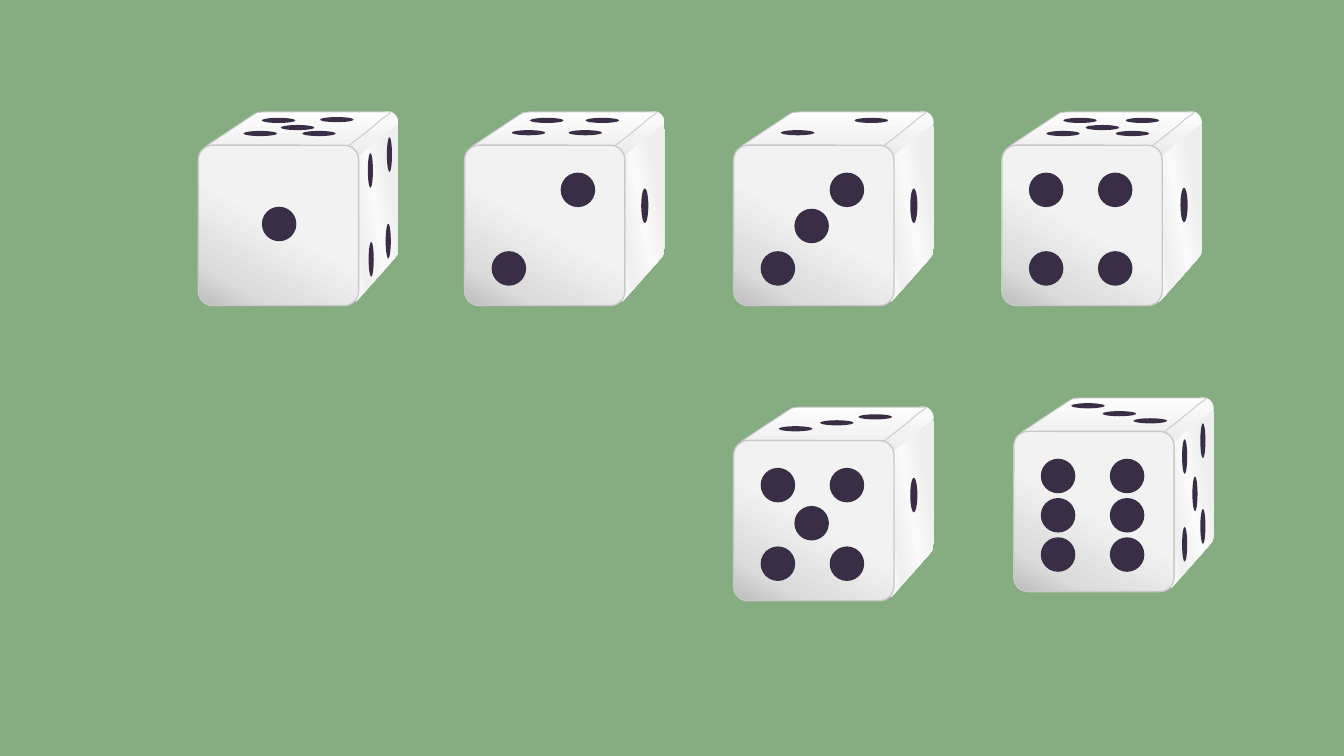
"""Build a slide with six dice, one for each face value."""
from lxml.etree import SubElement
from pptx import Presentation
from pptx.dml.color import RGBColor
from pptx.enum.shapes import MSO_SHAPE
from pptx.oxml.ns import qn
from pptx.util import Cm, Pt

PIP = "3A2E46"
CAP_STOPS = [(21, "FAFAFA"), (57, "F1F1F1"), (96, "E4E4E4")]
TOP_STOPS = [(0, "FFFFFF"), (21, "FAFAFA"), (100, "F1F1F1")]
SIDE_STOPS = [(0, "FFFFFF"), (20, "EFEFEF"), (50, "FAFAFA"), (77, "EEEEEE"), (100, "EDEDED")]
FRONT_STOPS = [(0, "F2F2F2"), (49, "F2F2F2"), (83, "DBDBDB"), (100, "BCBCBC")]

TOP_OUTLINE = [
    (1.64, -0.84), (4.82, -0.84),
    (4.87, -0.81, 4.8, -0.79, 4.62, -0.66),
    (4.47, -0.51, 3.91, -0.08, 3.78, 0.02),
    (0.2, 0.02), (1.3, -0.71),
    (1.52, -0.86, 1.47, -0.81, 1.64, -0.84),
]
SIDE_OUTLINE = [
    (5.03, 2.57), (5.03, -0.48),
    (5, -0.53, 4.98, -0.51, 4.95, -0.46),
    (4.9, -0.43, 4.09, 0.2, 3.96, 0.36),
    (3.96, 3.96), (4.88, 2.92),
    (5.08, 2.69, 5, 2.74, 5.03, 2.57),
]

LEFT, RIGHT, UPPER, MIDDLE, LOWER = 0.68, 2.42, 0.69, 1.68, 2.67
CORNERS = [(x, y) for x in (LEFT, RIGHT) for y in (UPPER, LOWER)]
DIAGONAL = [(LEFT, LOWER), (RIGHT, UPPER)]

DICE = [
    dict(at=(11.71, 3.66), front=DIAGONAL,
         top=[(1.19, -0.38), (1.65, -0.69), (3.05, -0.69), (2.62, -0.38)],
         side=[(4.45, 1.09)]),
    dict(at=(18.49, 3.66), front=DIAGONAL + [(1.53, 1.6)],
         top=[(1.19, -0.38), (3.05, -0.69)],
         side=[(4.45, 1.09)]),
    dict(at=(25.25, 3.66), front=CORNERS,
         top=[(1.12, -0.36), (1.55, -0.69), (3.12, -0.69), (2.87, -0.36), (2.11, -0.51)],
         side=[(4.5, 1.07)]),
    dict(at=(18.49, 11.1), front=CORNERS + [(1.53, 1.65)],
         top=[(1.14, -0.36), (3.15, -0.66), (2.18, -0.51)],
         side=[(4.45, 0.94)]),
    dict(at=(5, 3.66), front=[(1.6, 1.55)],
         top=[(1.14, -0.36), (1.6, -0.69), (3.07, -0.71), (2.62, -0.36), (2.08, -0.51)],
         side=[(4.72, 1.98), (4.27, 0.2), (4.75, -0.2), (4.29, 2.44)]),
    dict(at=(25.55, 10.87), front=CORNERS + [(LEFT, MIDDLE), (RIGHT, MIDDLE)],
         top=[(3.02, -0.33), (1.45, -0.71), (2.24, -0.51)],
         side=[(4.7, 1.96), (4.24, 0.2), (4.5, 1.14), (4.7, -0.2), (4.24, 2.41)]),
]


def paint(sp, colour, angle=None, line=None, width=1):
    """Fill with one colour, or with gradient stops at a clockwise angle."""
    sp.shadow.inherit = False
    if angle is None:
        sp.fill.solid()
        sp.fill.fore_color.rgb = RGBColor.from_string(colour)
    else:
        sp.fill.gradient()
        sp.fill.gradient_angle = 360 - angle
        stops = sp._element.spPr.find(qn("a:gradFill")).find(qn("a:gsLst"))
        for old in list(stops):
            stops.remove(old)
        for pos, shade in colour:
            gs = SubElement(stops, qn("a:gs"), pos=str(pos * 1000))
            SubElement(gs, qn("a:srgbClr"), val=shade)
    if line:
        sp.line.color.rgb = RGBColor.from_string(line)
        sp.line.width = Pt(width)
    else:
        sp.line.fill.background()


def add_outline(shapes, steps, x, y):
    """Draw a closed outline whose six-number steps are cubic curves."""
    points = [steps[0]]
    for step in steps[1:]:
        if len(step) == 2:
            points.append(step)
            continue
        controls = [points[-1], step[:2], step[2:4], step[4:]]
        for t in (i / 8 for i in range(1, 9)):
            weights = ((1 - t) ** 3, 3 * t * (1 - t) ** 2, 3 * t * t * (1 - t), t ** 3)
            points.append(tuple(sum(w * c[axis] for w, c in zip(weights, controls))
                                for axis in (0, 1)))
    points = [(Cm(px), Cm(py)) for px, py in points]
    builder = shapes.build_freeform(*points[0])
    builder.add_line_segments(points[1:], close=True)
    return builder.convert_to_shape(Cm(x), Cm(y))


prs = Presentation()
prs.slide_width, prs.slide_height = Cm(33.87), Cm(19.05)
s = prs.slides.add_slide(prs.slide_layouts[6])
s.background.fill.solid()
s.background.fill.fore_color.rgb = RGBColor.from_string("86AD81")

for die in DICE:
    x, y = die["at"]
    shapes = s.shapes.add_group_shape().shapes

    cap = shapes.add_shape(MSO_SHAPE.ROUND_2_SAME_RECTANGLE,
                           Cm(x + 4.04), Cm(y - 1.07), Cm(0.56), Cm(1.68))
    cap.adjustments[0] = cap.adjustments[1] = 0.5
    cap.rotation = 51.6
    paint(cap, CAP_STOPS, angle=45)

    paint(add_outline(shapes, TOP_OUTLINE, x, y), TOP_STOPS, angle=90, line="C5C6C7", width=0.6)
    paint(add_outline(shapes, SIDE_OUTLINE, x, y), SIDE_STOPS, angle=350)

    front = shapes.add_shape(MSO_SHAPE.ROUNDED_RECTANGLE, Cm(x), Cm(y), Cm(4.04), Cm(4.04))
    front.adjustments[0] = 0.09
    paint(front, FRONT_STOPS, angle=120, line="C9C9C9")

    side_width = 0.18 if len(die["side"]) == 1 else 0.13
    for face, w, h in (("front", 0.87, 0.87), ("top", 0.84, 0.13), ("side", side_width, 0.87)):
        for dx, dy in die[face]:
            pip = shapes.add_shape(MSO_SHAPE.OVAL, Cm(x + dx), Cm(y + dy), Cm(w), Cm(h))
            paint(pip, PIP)

prs.save("out.pptx")
